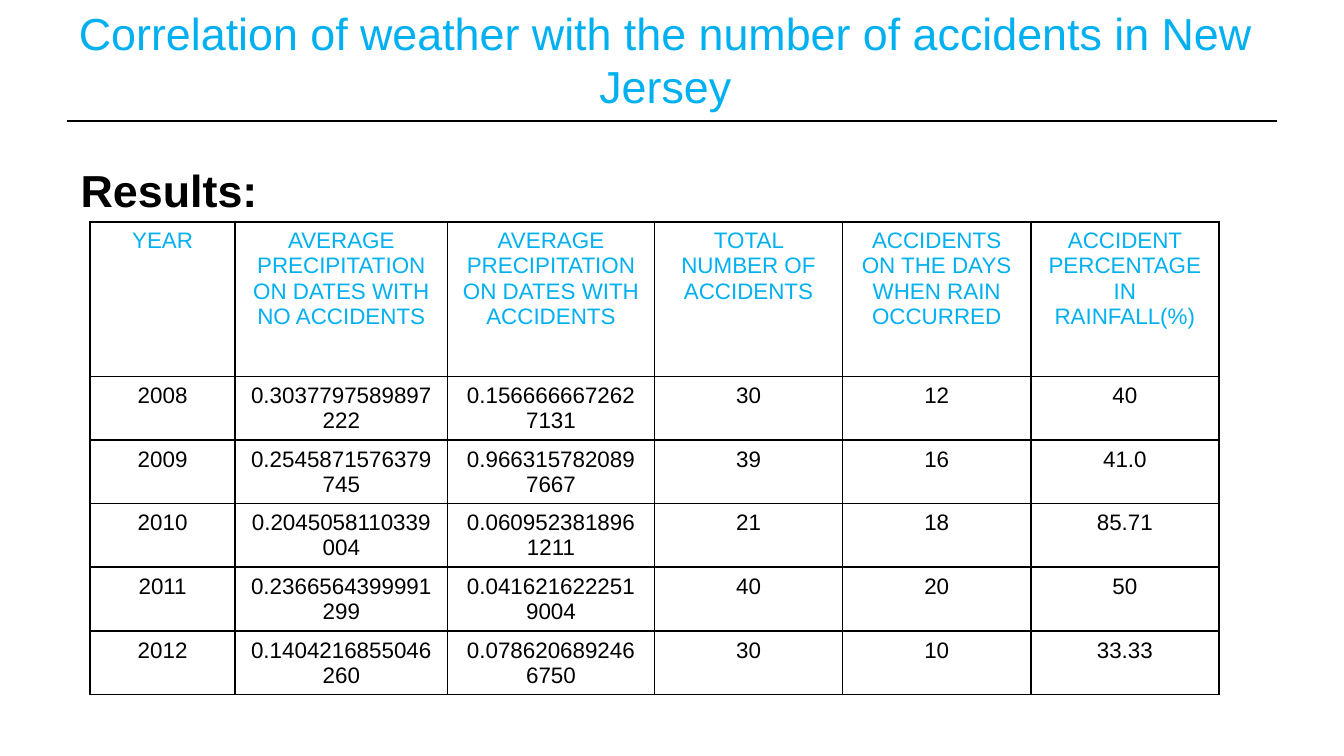
"""Build the slide on weather and accidents in New Jersey."""
from lxml.etree import SubElement
from pptx import Presentation
from pptx.dml.color import RGBColor
from pptx.enum.shapes import MSO_CONNECTOR
from pptx.enum.text import MSO_ANCHOR, MSO_AUTO_SIZE, PP_ALIGN
from pptx.oxml.ns import qn
from pptx.util import Inches, Pt

COLORS = {"heading": "00B0F0", "text": "000000"}
FONT = "Arial"
TITLE = "Correlation of weather with the number of accidents in New Jersey"
RESULTS = "Results:"
HEADERS = (
    "YEAR",
    "AVERAGE PRECIPITATION ON DATES WITH NO ACCIDENTS",
    "AVERAGE PRECIPITATION ON DATES WITH ACCIDENTS",
    "TOTAL NUMBER OF ACCIDENTS",
    "ACCIDENTS ON THE DAYS WHEN RAIN OCCURRED",
    "ACCIDENT PERCENTAGE IN RAINFALL(%)",
)
YEARS = [
    ("2008", "0.3037797589897222", "0.1566666672627131", "30", "12", "40"),
    ("2009", "0.2545871576379745", "0.9663157820897667", "39", "16", "41.0"),
    ("2010", "0.2045058110339004", "0.0609523818961211", "21", "18", "85.71"),
    ("2011", "0.2366564399991299", "0.0416216222519004", "40", "20", "50"),
    ("2012", "0.1404216855046260", "0.0786206892466750", "30", "10", "33.33"),
]
COLUMN_WIDTHS = (1.08, 1.58, 1.54, 1.4, 1.4, 1.4)
ROW_HEIGHTS = [1.15] + [0.44] * len(YEARS)


def write(frame, text, size, color, align, bold=False):
    """Put one formatted run in the first paragraph."""
    paragraph = frame.paragraphs[0]
    paragraph.alignment = align
    paragraph.line_spacing = 1.0
    paragraph.space_before = Pt(0)
    run = paragraph.add_run()
    run.text = text
    run.font.name, run.font.size, run.font.bold = FONT, Pt(size), bold
    run.font.color.rgb = RGBColor.from_string(COLORS[color])
    return paragraph


def place(holder, box, anchor, top, bottom):
    """Move a placeholder and set its text area."""
    holder.left, holder.top, holder.width, holder.height = map(Inches, box)
    frame = holder.text_frame
    frame.word_wrap, frame.auto_size = True, MSO_AUTO_SIZE.NONE
    frame.vertical_anchor = anchor
    frame.margin_left = frame.margin_right = Inches(0.1)
    frame.margin_top, frame.margin_bottom = Inches(top), Inches(bottom)
    return frame


def add_borders(cell):
    """Draw a thin line on all four sides of a cell."""
    properties = cell._tc.get_or_add_tcPr()
    for position, side in enumerate(("a:lnL", "a:lnR", "a:lnT", "a:lnB")):
        line = properties.makeelement(qn(side), {"w": str(Pt(1))})
        fill = SubElement(line, qn("a:solidFill"))
        SubElement(fill, qn("a:srgbClr"), val=COLORS["text"])
        properties.insert(position, line)


prs = Presentation()
prs.slide_width = Inches(10)
prs.slide_height = prs.slide_width * 9 // 16
slide = prs.slides.add_slide(prs.slide_layouts[1])
title, results = slide.placeholders

title_frame = place(title, (0.45, 0.52, 9, 1.02), MSO_ANCHOR.BOTTOM, 0.1, 0.7)
write(title_frame, TITLE, 24, "heading", PP_ALIGN.CENTER)

results_frame = place(results, (0.5, 1.03, 9, 4.07), MSO_ANCHOR.TOP, 0.18, 0.1)
label = write(results_frame, RESULTS, 24, "text", PP_ALIGN.LEFT, bold=True)
label_properties = label._p.get_or_add_pPr()
label_properties.set("marL", "0")
label_properties.set("indent", "0")
SubElement(label_properties, qn("a:buNone"))

rule = slide.shapes.add_connector(
    MSO_CONNECTOR.STRAIGHT, Inches(0.5), Inches(0.9), Inches(9.5), Inches(0.9))
rule.line.color.rgb = RGBColor.from_string(COLORS["text"])
rule.line.width = Pt(0.75)
SubElement(rule._element.spPr, qn("a:effectLst"))

rows = [HEADERS] + YEARS
table = slide.shapes.add_table(
    len(rows), len(HEADERS), Inches(0.67), Inches(1.65),
    Inches(sum(COLUMN_WIDTHS)), Inches(sum(ROW_HEIGHTS))).table
table.first_row = table.horz_banding = False
for column, width in zip(table.columns, COLUMN_WIDTHS):
    column.width = Inches(width)
for row, height, values in zip(table.rows, ROW_HEIGHTS, rows):
    row.height = Inches(height)
    color = "heading" if values is HEADERS else "text"
    for cell, value in zip(row.cells, values):
        cell.fill.background()
        add_borders(cell)
        write(cell.text_frame, value, 12, color, PP_ALIGN.CENTER)

prs.save("out.pptx")
